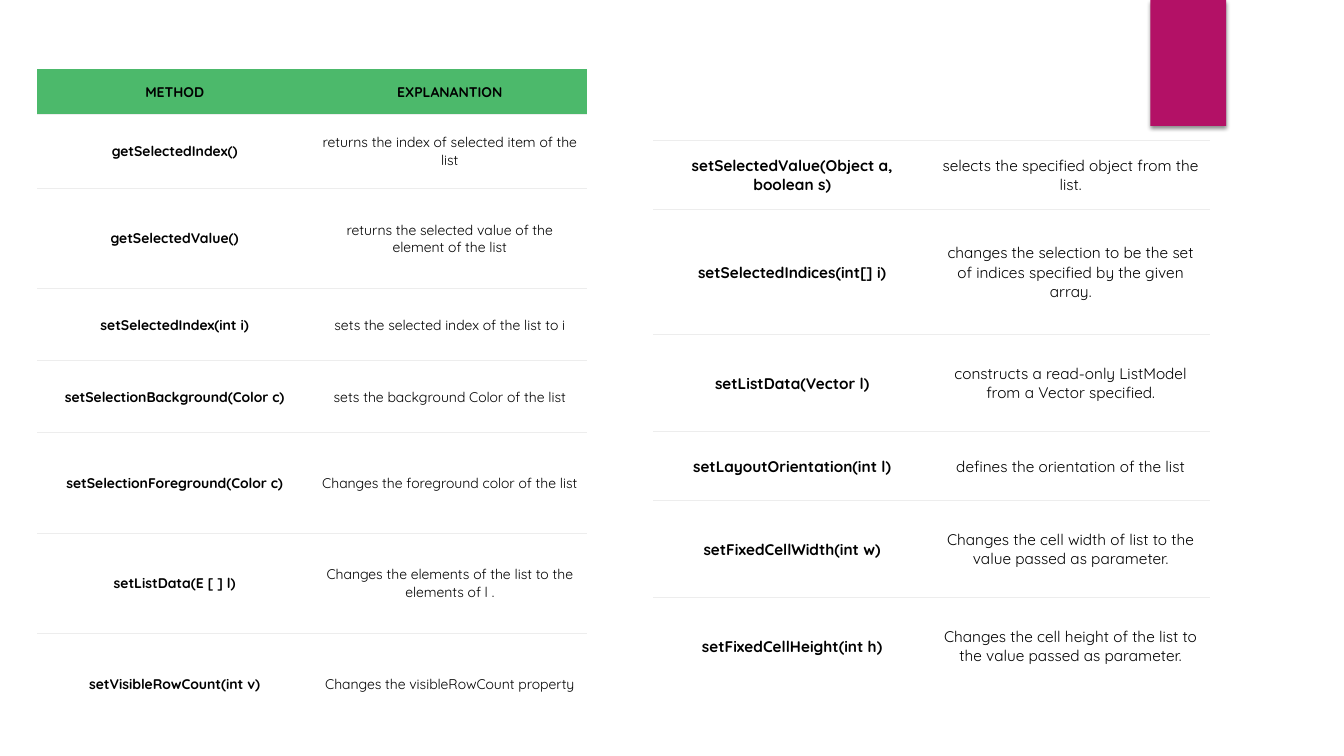
from lxml import etree
from pptx import Presentation
from pptx import util as u
from pptx.dml.color import RGBColor
from pptx.enum import shapes, text
from pptx.oxml import parse_xml
from pptx.oxml.ns import nsdecls, qn

Pt = u.Pt
FONT = "Quicksand"
COLORS = {"header": "4CB96B", "body": "FFFFFF", "rule": "EDEDED",
          "ink": "000000", "ribbon": "B31166"}

HEADER = ("METHOD", "EXPLANANTION")
# Each row: height, method, explanation
SELECTION_METHODS = [
    (52.9, "getSelectedIndex()", "returns the index of selected item of the list"),
    (71.8, "getSelectedValue()", "returns the selected value of the element of the list"),
    (51.4, "setSelectedIndex(int i)", "sets the selected index of the list to i"),
    (51.4, "setSelectionBackground(Color c)", "sets the background Color of the list"),
    (71.8, "setSelectionForeground(Color c)", "Changes the foreground color of the list"),
    (71.8, "setListData(E [ ] l)", "Changes the elements of the list to the elements of l ."),
    (71.8, "setVisibleRowCount(int v)", "Changes the visibleRowCount property"),
]
LAYOUT_METHODS = [
    (49.4, "setSelectedValue(Object a, boolean s)", "selects the specified object from the list."),
    (89.3, "setSelectedIndices(int[] i)",
     "changes the selection to be the set of indices specified by the given array."),
    (69.3, "setListData(Vector l)", "constructs a read-only ListModel from a Vector specified."),
    (49.4, "setLayoutOrientation(int l)", "defines the orientation of the list"),
    (69.3, "setFixedCellWidth(int w)",
     "Changes the cell width of list to the value passed as parameter."),
    (69.3, "setFixedCellHeight(int h)",
     "Changes the cell height of the list to the value passed as parameter."),
]


def rgb(name):
    return RGBColor.from_string(COLORS[name])


def set_borders(cell, ruled_sides):
    """Draw thin rules on the given sides (T, B) and clear the others."""
    properties = cell._tc.get_or_add_tcPr()
    for position, side in enumerate("LRTB"):
        border = etree.Element(qn(f"a:ln{side}"), w=str(Pt(0.75)))
        if side in ruled_sides:
            fill = etree.SubElement(border, qn("a:solidFill"))
            etree.SubElement(fill, qn("a:srgbClr"), val=COLORS["rule"])
        else:
            etree.SubElement(border, qn("a:noFill"))
        properties.insert(position, border)


def fill_cell(cell, wording, size, bold, color, insets):
    cell.fill.solid()
    cell.fill.fore_color.rgb = rgb(color)
    cell.vertical_anchor = text.MSO_ANCHOR.MIDDLE
    cell.margin_left = cell.margin_right = Pt(insets[0])
    cell.margin_top = cell.margin_bottom = Pt(insets[1])
    cell.text_frame.text = wording
    paragraph = cell.text_frame.paragraphs[0]
    paragraph.alignment = text.PP_ALIGN.CENTER
    font = paragraph.runs[0].font
    font.name, font.size, font.bold = FONT, Pt(size), bold
    font.color.rgb = rgb("ink")


def add_method_table(slide, left, top, column_width, methods, size, insets, header_height=0):
    rows = ([(header_height, *HEADER)] if header_height else []) + methods
    total_height = sum(row[0] for row in rows)
    grid = slide.shapes.add_table(len(rows), 2, Pt(left), Pt(top),
                                  Pt(2 * column_width), Pt(total_height)).table
    grid.first_row = grid.horz_banding = False
    for column in grid.columns:
        column.width = Pt(column_width)
    for index, (height, *wordings) in enumerate(rows):
        grid.rows[index].height = Pt(height)
        is_header = bool(header_height) and index == 0
        sides = ("" if is_header else "T") + ("B" if index < len(rows) - 1 else "")
        for column, wording in enumerate(wordings):
            cell = grid.cell(index, column)
            fill_cell(cell, wording, size, is_header or column == 0,
                      "header" if is_header else "body",
                      (3.6, 3.6) if is_header else insets)
            set_borders(cell, sides)


def add_ribbon(slide, left, top, width, height):
    ribbon = slide.shapes.add_shape(shapes.MSO_SHAPE.RECTANGLE,
                                    Pt(left), Pt(top), Pt(width), Pt(height))
    ribbon.fill.solid()
    ribbon.fill.fore_color.rgb = rgb("ribbon")
    ribbon.line.fill.background()
    ribbon.shadow.inherit = False
    # Soft shadow below the ribbon
    effects = ribbon._element.spPr.find(qn("a:effectLst"))
    effects.append(parse_xml(
        f'<a:outerShdw {nsdecls("a")} blurRad="{Pt(3)}" dist="{Pt(2)}" dir="5400000" '
        f'rotWithShape="0"><a:srgbClr val="{COLORS["ink"]}"><a:alpha val="45000"/>'
        '</a:srgbClr></a:outerShdw>'))


def main():
    deck = Presentation()
    deck.slide_width, deck.slide_height = Pt(960), Pt(540)
    slide = deck.slides.add_slide(deck.slide_layouts[6])

    # Corner ribbon
    add_ribbon(slide, 821.8, 0, 54, 90)

    # Method tables
    add_method_table(slide, 26.5, 49.5, 196.5, SELECTION_METHODS, 10, (5.6, 2.8),
                     header_height=32.2)
    add_method_table(slide, 466.5, 100.5, 198.9, LAYOUT_METHODS, 11, (6.6, 3.3))

    deck.save("out.pptx")


if __name__ == "__main__":
    main()
